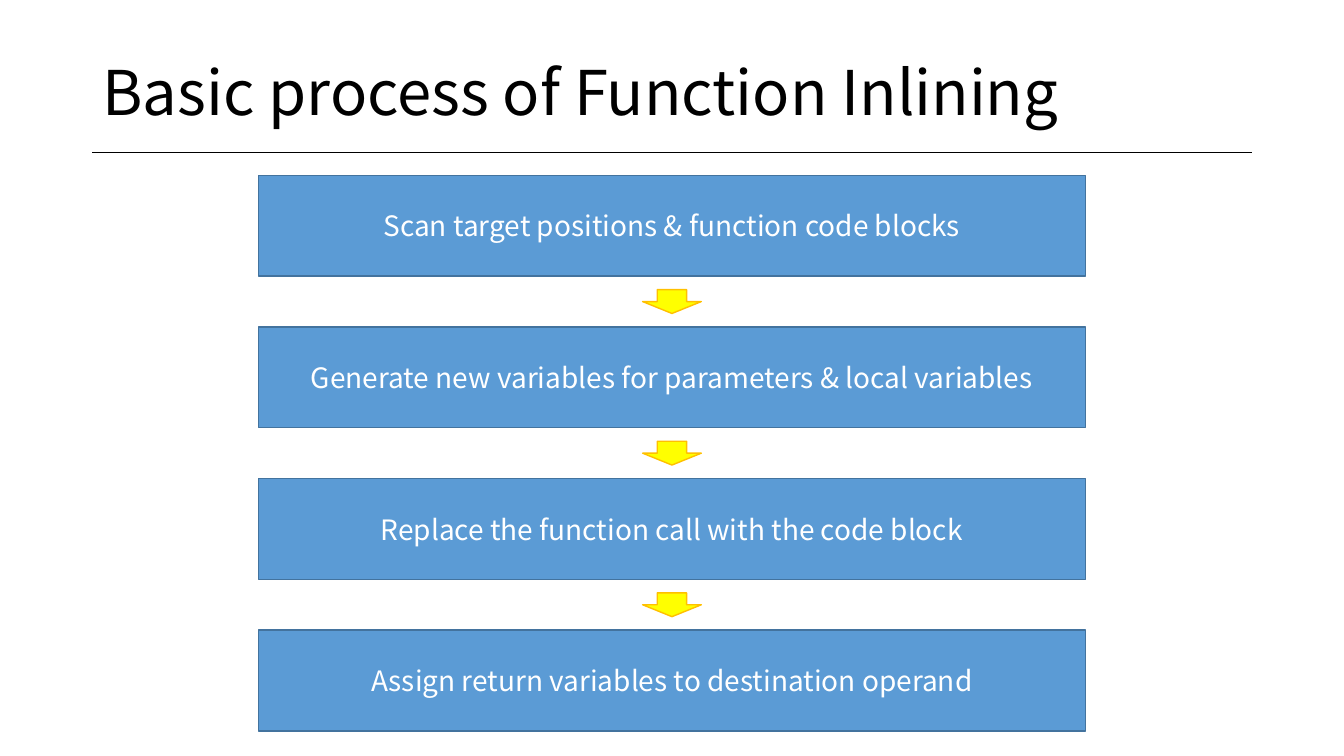
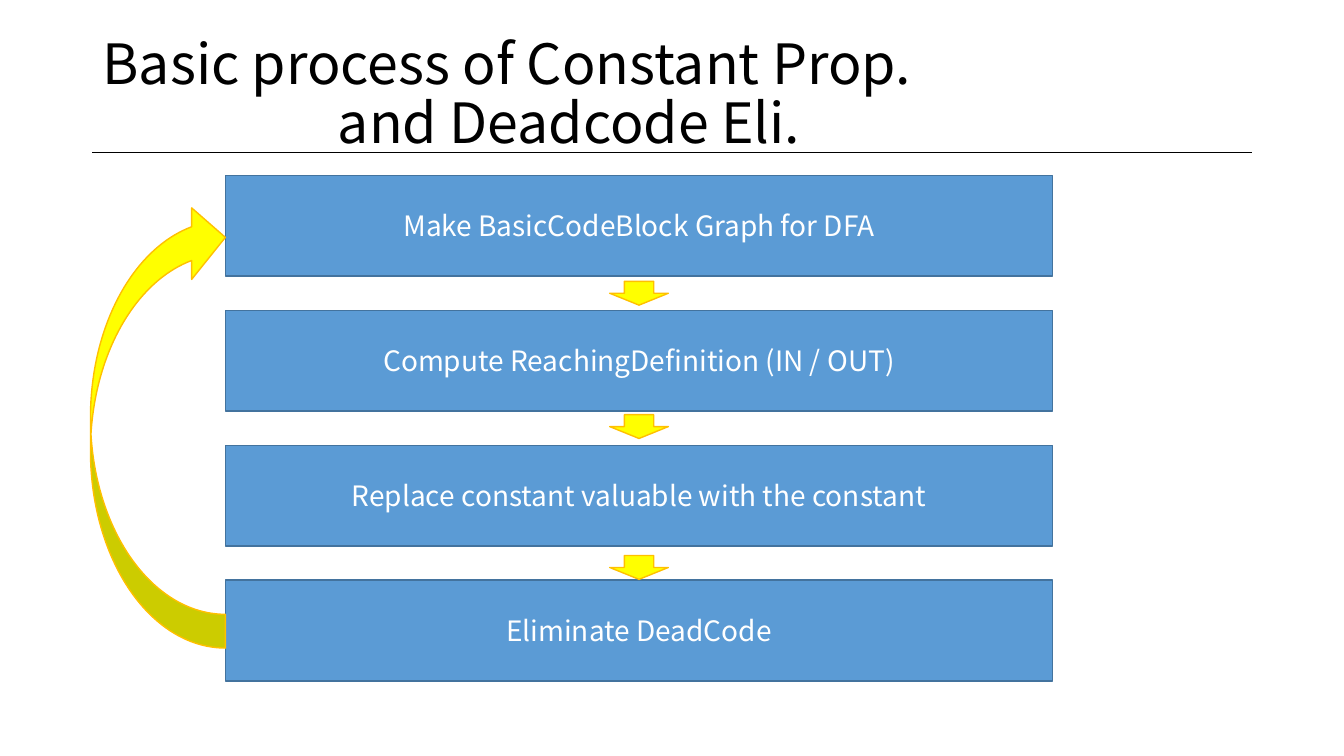
from lxml import etree
from pptx import Presentation
from pptx import util as u
from pptx.dml.color import RGBColor
from pptx.enum import shapes, text
from pptx.oxml.ns import qn

FONT = "Noto Sans CJK KR"
BLACK, WHITE = "000000", "FFFFFF"
BLUE, NAVY = "5B9BD5", "43739E"
YELLOW, GOLD = "FFFF00", "FFC000"
SHAPE = shapes.MSO_SHAPE
ALIGN = text.PP_ALIGN


def paint(target, color):
    """Give a fill or a line one solid colour."""
    fill = getattr(target, "fill", target)
    fill.solid()
    fill.fore_color.rgb = RGBColor.from_string(color)


def write(frame, lines, size, color, align=ALIGN.LEFT, space=1.0, indents=()):
    """Write one paragraph a line; indents are left margins in cm."""
    frame.word_wrap = True
    frame.auto_size = text.MSO_AUTO_SIZE.NONE
    frame.vertical_anchor = text.MSO_ANCHOR.MIDDLE
    for i, line in enumerate(lines):
        para = frame.paragraphs[0] if i == 0 else frame.add_paragraph()
        para.alignment = align
        para.line_spacing = space
        if i < len(indents):
            para._p.get_or_add_pPr().set("marL", str(u.Cm(indents[i])))
        run = para.add_run()
        run.text = line
        run.font.name = FONT
        run.font.size = u.Pt(size)
        run.font.color.rgb = RGBColor.from_string(color)


class Deck:
    """Holds the shared style and the current slide."""

    left, right, rule = 2.33, 31.54, 3.84
    top, wide, high = 4.42, 20.85, 2.54
    tip_wide, tip_high = 1.48, 0.6

    def __init__(self):
        self.prs = Presentation()
        self.prs.slide_width = u.Cm(33.87)
        self.prs.slide_height = u.Cm(19.05)
        self.slide = None

    def page(self, lines, size=44, indents=()):
        """Start a slide with its title and the rule below it."""
        self.slide = self.prs.slides.add_slide(self.prs.slide_layouts[5])
        self.line(self.left, self.rule, self.right, self.rule)
        title = self.slide.shapes.title
        title.left, title.top = u.Cm(self.left), u.Cm(1.01)
        title.width, title.height = u.Cm(self.right - self.left), u.Cm(2.82)
        write(title.text_frame, lines, size, BLACK, space=0.9, indents=indents)

    def line(self, x1, y1, x2, y2):
        line = self.slide.shapes.add_connector(
            shapes.MSO_CONNECTOR.STRAIGHT, u.Cm(x1), u.Cm(y1), u.Cm(x2), u.Cm(y2))
        paint(line.line, BLACK)
        line.line.width = u.Pt(1)
        etree.SubElement(line._element.spPr, qn("a:effectLst"))

    def shape(self, kind, x, y, w, h, fill, edge):
        shape = self.slide.shapes.add_shape(
            kind, u.Cm(x), u.Cm(y), u.Cm(w), u.Cm(h))
        shape.shadow.inherit = False
        paint(shape, fill)
        paint(shape.line, edge)
        shape.line.width = u.Pt(1)
        return shape

    def arrow(self, kind, x, y, w, h):
        return self.shape(kind, x, y, w, h, YELLOW, GOLD)

    def flow(self, steps, x, pitch, shifts=(0, 0, 0)):
        """Stack boxes; an arrow sits mid-gap, moved down by its shift."""
        for i, step in enumerate(steps):
            box = self.shape(SHAPE.RECTANGLE, x, self.top + i * pitch,
                             self.wide, self.high, BLUE, NAVY)
            write(box.text_frame, [step], 20, WHITE, align=ALIGN.CENTER)
        tip_x = x + (self.wide - self.tip_wide) / 2
        inset = self.high + (pitch - self.high - self.tip_high) / 2
        for i, shift in enumerate(shifts):
            self.arrow(SHAPE.DOWN_ARROW, tip_x, self.top + i * pitch + inset + shift,
                       self.tip_wide, self.tip_high)

    def loop(self, x, y, w, h):
        """Draw the curved arrow from the last step back to the first."""
        loop = self.arrow(SHAPE.CURVED_LEFT_ARROW, x, y, w, h)
        loop.rotation = 180
        for i, value in enumerate((0.25, 0.53, 0.25)):
            loop.adjustments[i] = value


def main():
    deck = Deck()

    deck.page(["Basic process of Function Inlining"])
    deck.flow(["Scan target positions & function code blocks",
               "Generate new variables for parameters & local variables",
               "Replace the function call with the code block",
               "Assign return variables to destination operand"],
              x=6.51, pitch=3.82)

    deck.page(["Basic process of Constant Prop.", "and Deadcode Eli."],
              size=39.6, indents=(0, 5.93))
    deck.flow(["Make BasicCodeBlock Graph for DFA",
               "Compute ReachingDefinition (IN / OUT)",
               "Replace constant valuable with the constant",
               "Eliminate DeadCode"],
              x=5.68, pitch=3.4, shifts=(0, -0.04, 0.11))
    deck.loop(2.28, 5.08, 3.4, 11.25)

    deck.prs.save("out.pptx")


if __name__ == "__main__":
    main()
